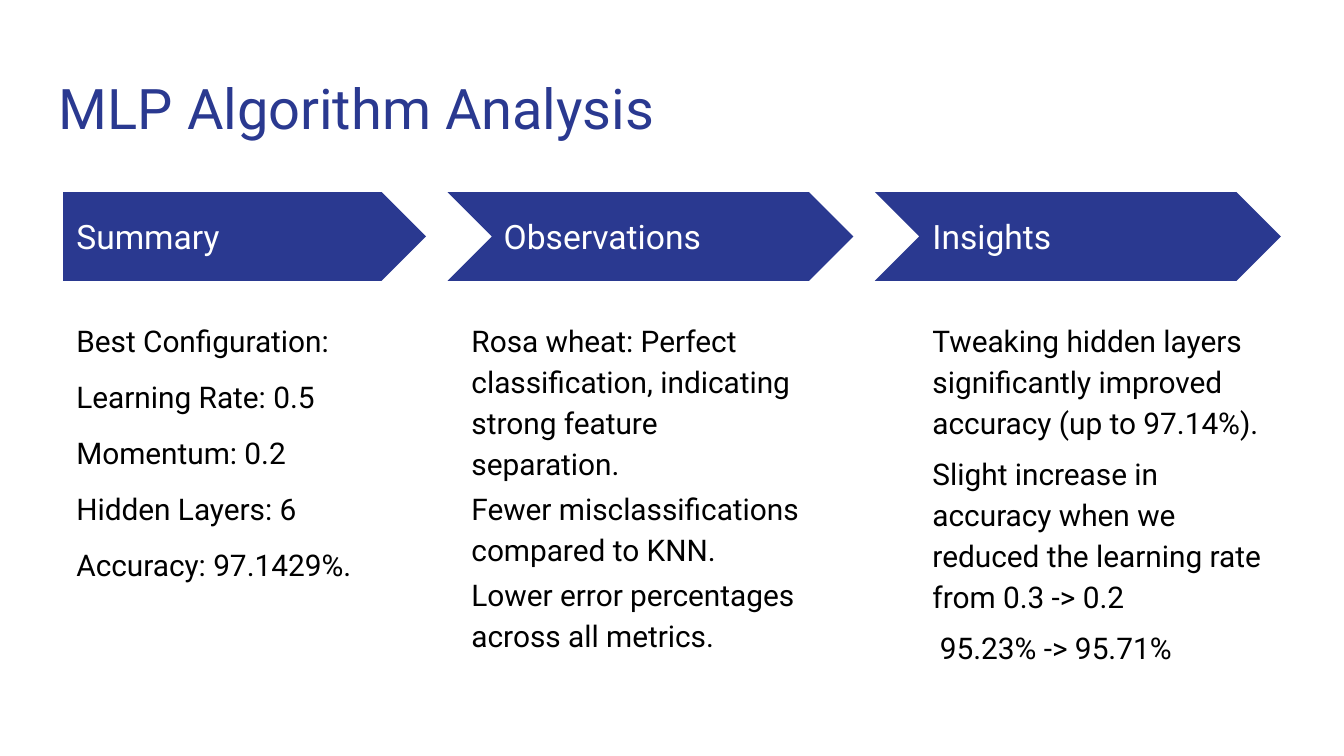
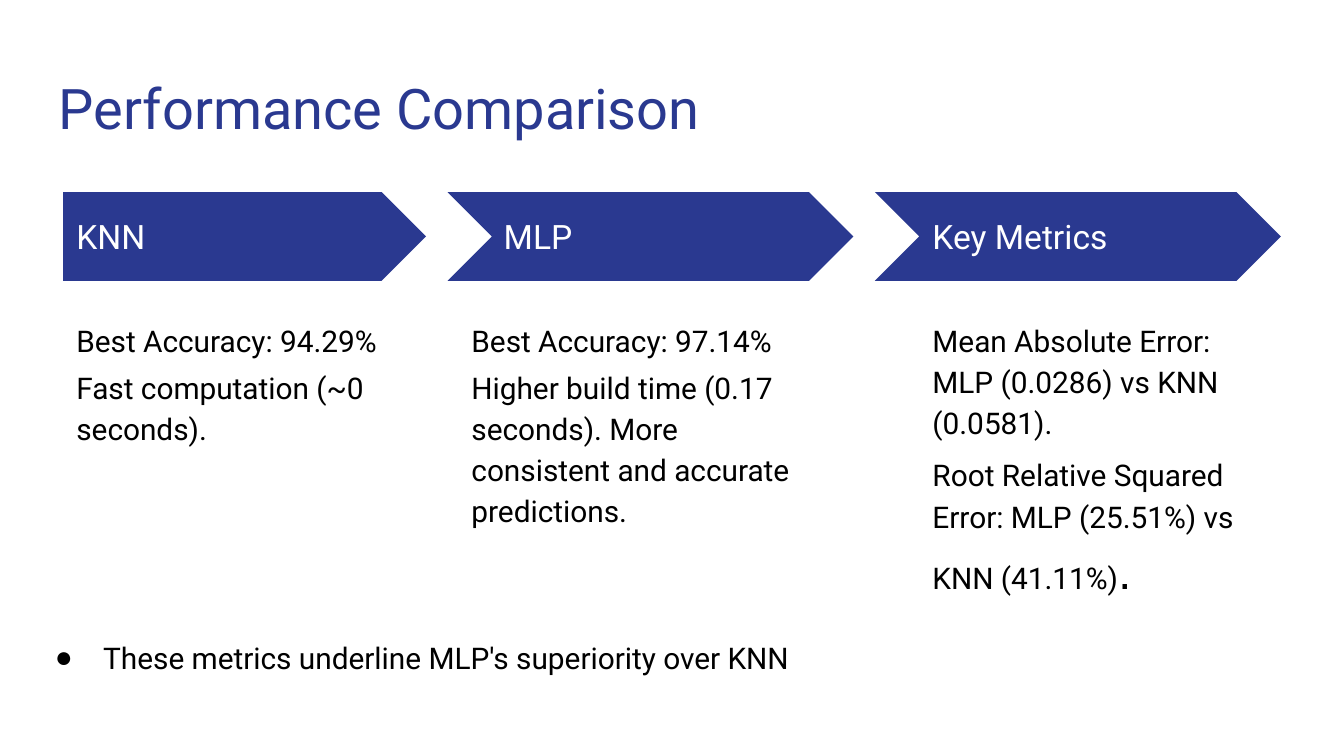
"""Build two slides of three arrow-headed columns on MLP and KNN results."""
import pptx
import pptx.dml.color
import pptx.enum.shapes
import pptx.enum.text
import pptx.oxml.ns
import pptx.util
import lxml.etree

Inches, Pt = pptx.util.Inches, pptx.util.Pt
SHAPE = pptx.enum.shapes.MSO_SHAPE
ANCHOR = pptx.enum.text.MSO_ANCHOR
BLUE, WHITE, BLACK = "2A3990", "FFFFFF", "000000"

TITLE = {"size": 30, "color": BLUE, "paragraph": {}}
HEADING = {"size": 18, "color": WHITE, "paragraph": {}}
BODY = {"size": 16, "color": BLACK, "paragraph": {"line_spacing": 1.15}}

COLUMNS = [
    (SHAPE.PENTAGON, 0.47, 2.7, 0.47, 0.47),
    (SHAPE.CHEVRON, 3.33, 3.02, 3.65, 3.41),
    (SHAPE.CHEVRON, 6.51, 3.02, 6.84, 6.84),
]

SLIDES = [
    ("MLP Algorithm Analysis", [
        ("Summary", 8, [
            "Best Configuration:",
            "Learning Rate: 0.5",
            "Momentum: 0.2",
            "Hidden Layers: 6",
            "Accuracy: 97.1429%.",
        ]),
        ("Observations", 2, [
            "Rosa wheat: Perfect classification, indicating strong feature separation.",
            "Fewer misclassifications compared to KNN.",
            "Lower error percentages across all metrics.",
        ]),
        ("Insights", 5, [
            "Tweaking hidden layers significantly improved accuracy (up to 97.14%).",
            "Slight increase in accuracy when we reduced the learning rate from 0.3 -> 0.2",
            " 95.23% -> 95.71%",
        ]),
    ]),
    ("Performance Comparison", [
        ("KNN", 3, [
            "Best Accuracy: 94.29%",
            "Fast computation (~0 seconds).",
        ]),
        ("MLP", 3, [
            "Best Accuracy: 97.14%",
            "Higher build time (0.17 seconds). More consistent and accurate predictions.",
        ]),
        ("Key Metrics", 6, [
            "Mean Absolute Error: MLP (0.0286) vs KNN (0.0581).",
            "Root Relative Squared Error: MLP (25.51%) vs KNN (41.11%)",
        ]),
    ]),
]


def rgb(value):
    return pptx.dml.color.RGBColor.from_string(value)


def add_text(s, box, lines, style, before=0, anchor=ANCHOR.TOP):
    tf = s.shapes.add_textbox(*(Inches(v) for v in box)).text_frame
    frame = {"word_wrap": True, "vertical_anchor": anchor}
    frame.update({f"margin_{side}": Inches(0.1) for side in ("left", "top", "right", "bottom")})
    for name, value in frame.items():
        setattr(tf, name, value)
    for i, line in enumerate(lines):
        p = tf.add_paragraph() if i else tf.paragraphs[0]
        for name, value in {"space_before": Pt(before), **style["paragraph"]}.items():
            setattr(p, name, value)
        r = p.add_run()
        r.text = line
        for name, value in {"size": Pt(style["size"]), "name": "Roboto"}.items():
            setattr(r.font, name, value)
        r.font.color.rgb = rgb(style["color"])
    return tf


prs = pptx.Presentation()
prs.slide_width = Inches(10)
prs.slide_height = prs.slide_width * 9 // 16

for title, columns in SLIDES:
    s = prs.slides.add_slide(prs.slide_layouts[6])
    s.background.fill.solid()
    s.background.fill.fore_color.rgb = rgb(WHITE)
    add_text(s, (0.34, 0.45, 9.32, 0.66), [title], TITLE)
    for (kind, left, width, heading_left, body_left), (heading, before, lines) in zip(COLUMNS, columns):
        sp = s.shapes.add_shape(kind, Inches(left), Inches(1.43), Inches(width), Inches(0.66))
        sp.adjustments[0] = 0.5
        sp.shadow.inherit = False
        sp.fill.solid()
        sp.fill.fore_color.rgb = rgb(BLUE)
        sp.line.fill.background()
        add_text(s, (heading_left, 1.59, 2.47, 0.34), [heading], HEADING, anchor=ANCHOR.MIDDLE)
        tf = add_text(s, (body_left, 2.26, 2.7, 2.9), lines, BODY, before)

r = tf.paragraphs[-1].add_run()
r.text = "."
for name, value in {"size": Pt(25), "name": "Arial"}.items():
    setattr(r.font, name, value)
r.font.color.rgb = rgb(BLACK)

tf = add_text(s, (0.17, 4.62, 5.84, 0.5), ["These metrics underline MLP's superiority over KNN"], BODY, 6)
pPr = tf.paragraphs[0]._p.get_or_add_pPr()
for name, value in {"marL": Inches(0.5), "indent": Inches(-0.36)}.items():
    pPr.set(name, str(value))
qn = pptx.oxml.ns.qn
buClr = lxml.etree.SubElement(pPr, qn("a:buClr"))
lxml.etree.SubElement(buClr, qn("a:srgbClr"), val=BLACK)
lxml.etree.SubElement(pPr, qn("a:buFont"), typeface="Arial")
lxml.etree.SubElement(pPr, qn("a:buChar"), char="●")

prs.save("out.pptx")
